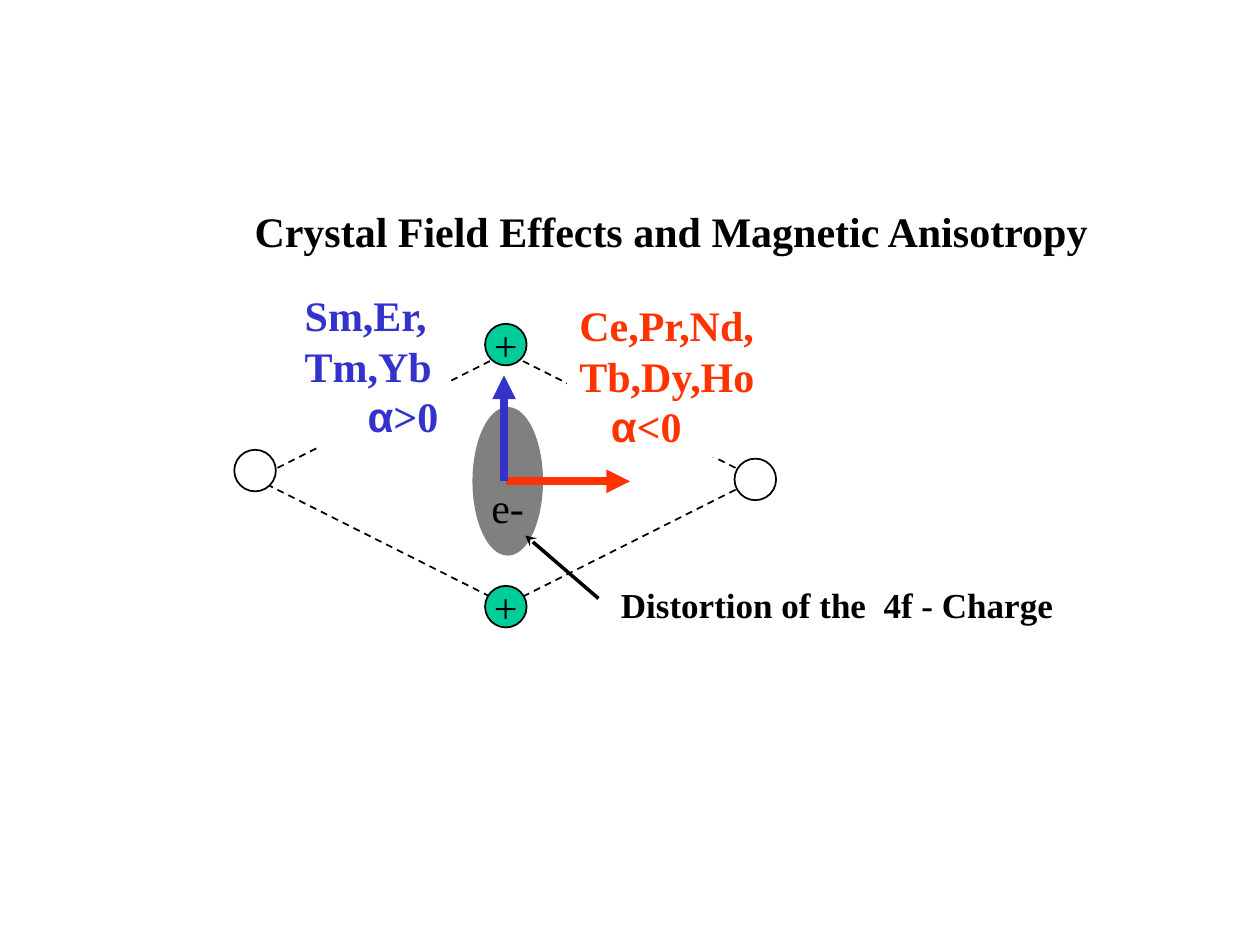
import lxml.etree
import pptx
import pptx.util
import pptx.dml.color
import pptx.enum.dml
import pptx.enum.shapes
import pptx.enum.text
import pptx.oxml.ns

Inches = pptx.util.Inches
Pt = pptx.util.Pt
ALIGN = pptx.enum.text.PP_ALIGN
ANCHOR = pptx.enum.text.MSO_ANCHOR

SERIF = "Times New Roman"
BLACK, WHITE, GRAY, GREEN = "000000", "FFFFFF", "808080", "00CC99"
RED, BLUE = "FF3300", "3333CC"
ION_SIZE = 0.33


def color(hex_value):
    return pptx.dml.color.RGBColor.from_string(hex_value)


def set_fill(shape, hex_value):
    shape.fill.solid()
    shape.fill.fore_color.rgb = color(hex_value)


def add_span(para, text, hex_value, **changes):
    span = para.add_run()
    span.text = text
    formats = {"name": SERIF, "size": Pt(24), "bold": False, **changes}
    for name, value in formats.items():
        setattr(span.font, name, value)
    span.font.color.rgb = color(hex_value)


def set_frame(shape, **changes):
    frame = shape.text_frame
    formats = {
        "word_wrap": False,
        "auto_size": pptx.enum.text.MSO_AUTO_SIZE.NONE,
        "vertical_anchor": ANCHOR.TOP,
        "margin_left": Inches(0.1),
        "margin_right": Inches(0.1),
        "margin_top": Inches(0.05),
        "margin_bottom": Inches(0.05),
        **changes,
    }
    for name, value in formats.items():
        setattr(frame, name, value)
    return frame


def add_line(page, start, end, hex_value, width, dashed=False, arrow=None):
    line = page.shapes.add_connector(
        pptx.enum.shapes.MSO_CONNECTOR.STRAIGHT,
        *(Inches(value) for value in (*start, *end)))
    line.line.color.rgb = color(hex_value)
    line.line.width = Pt(width)
    if dashed:
        line.line.dash_style = pptx.enum.dml.MSO_LINE.DASH
    qualified = pptx.oxml.ns.qn
    properties = line._element.spPr
    if arrow:
        outline = properties.find(qualified("a:ln"))
        lxml.etree.SubElement(outline, qualified("a:tailEnd"), type=arrow)
    lxml.etree.SubElement(properties, qualified("a:effectLst"))


def add_ellipse(page, place, fill, text="", outlined=True, top_margin=0.05):
    ellipse = page.shapes.add_shape(
        pptx.enum.shapes.MSO_SHAPE.OVAL, *(Inches(value) for value in place))
    ellipse.shadow.inherit = False
    set_fill(ellipse, fill)
    if outlined:
        ellipse.line.color.rgb = color(BLACK)
        ellipse.line.width = Pt(1)
    else:
        ellipse.line.fill.background()
    if text:
        frame = set_frame(ellipse, vertical_anchor=ANCHOR.MIDDLE,
                          margin_top=Inches(top_margin))
        para = frame.paragraphs[0]
        para.alignment = ALIGN.CENTER
        add_span(para, text, BLACK)


def add_label(page, place, lines, hex_value, size=24):
    box = page.shapes.add_textbox(*(Inches(value) for value in place))
    set_fill(box, WHITE)
    frame = set_frame(box)
    for index, text in enumerate(lines):
        para = frame.add_paragraph() if index else frame.paragraphs[0]
        add_span(para, text, hex_value, size=Pt(size), bold=True)
    return frame


def add_elements(page, place, lines, sign, indent, hex_value):
    """Element names, with the indented sign of alpha below them."""
    para = add_label(page, place, lines, hex_value).add_paragraph()
    para._p.get_or_add_pPr().set("marL", str(Inches(indent)))
    add_span(para, "α", hex_value, name="Arial", bold=True)
    add_span(para, sign, hex_value, bold=True)


def set_title(page, place, text):
    title = page.shapes.title
    for name, value in zip(("left", "top", "width", "height"), place):
        setattr(title, name, Inches(value))
    set_fill(title, WHITE)
    para = set_frame(title).paragraphs[0]
    para.alignment = ALIGN.LEFT
    add_span(para, text, BLACK, bold=True)


def main():
    deck = pptx.Presentation()
    deck.slide_width, deck.slide_height = Inches(10), Inches(7.5)
    page = deck.slides.add_slide(deck.slide_layouts[5])
    set_title(page, (1.92, 1.58, 6.84, 0.5),
              "Crystal Field Effects and Magnetic Anisotropy")

    # Dashed diamond between the ions
    left, right, top, bottom = (2.03, 3.8), (6.01, 3.8), (4.02, 2.8), (4.02, 4.8)
    for side in (left, right):
        for tip in (top, bottom):
            add_line(page, side, tip, BLACK, 1, dashed=True)

    # Charge cloud, its text one line below the middle
    add_ellipse(page, (3.75, 3.23, 0.56, 1.18), GRAY, "e-",
                outlined=False, top_margin=0.45)

    # Ions
    for x, y, fill, text in ((5.83, 3.64, WHITE, ""), (3.85, 2.57, GREEN, "+"),
                             (3.85, 4.65, GREEN, "+"), (1.86, 3.57, WHITE, "")):
        add_ellipse(page, (x, y, ION_SIZE, ION_SIZE), fill, text)

    # Element groups, covering part of the diamond
    add_elements(page, (4.5, 2.33, 1.61, 1.3), ("Ce,Pr,Nd,", "Tb,Dy,Ho"),
                 "<0", 0.25, RED)
    add_elements(page, (2.32, 2.25, 1.26, 1.3), ("Sm,Er,", "Tm,Yb"),
                 ">0", 0.5, BLUE)

    # Moment directions
    add_line(page, (4.02, 3.82), (5, 3.82), RED, 4.5, arrow="triangle")
    add_line(page, (4, 3.82), (4, 2.98), BLUE, 4.5, arrow="triangle")

    # Callout
    add_label(page, (4.83, 4.58, 3.63, 0.44),
              ("Distortion of the  4f - Charge",), BLACK, size=20)
    add_line(page, (4.75, 4.75), (4.17, 4.25), BLACK, 2, arrow="stealth")

    deck.save("out.pptx")


if __name__ == "__main__":
    main()
